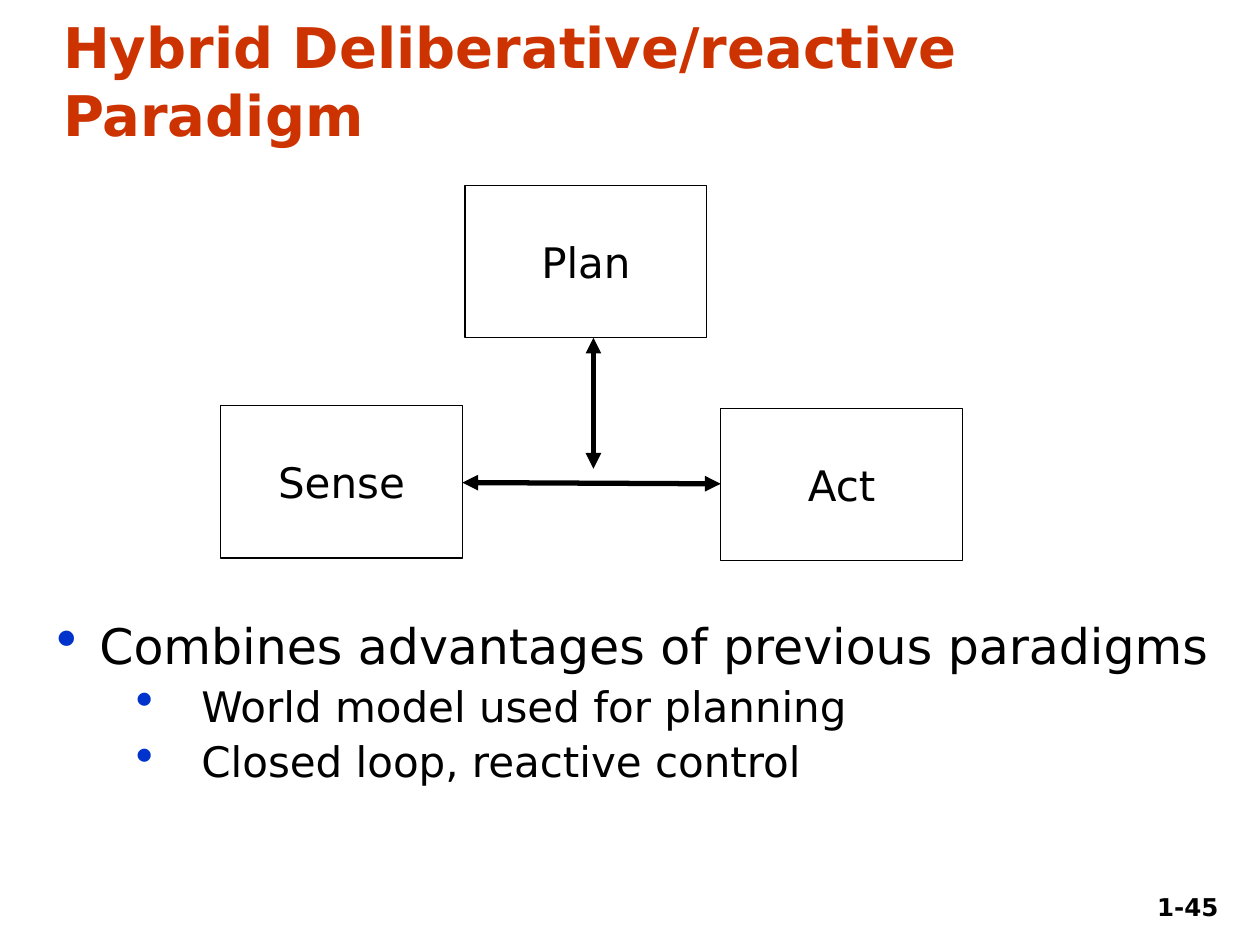
import pptx
import pptx.util
import pptx.dml.color
import pptx.enum.shapes
import pptx.enum.text
import pptx.oxml.ns
from lxml import etree

Inches, Pt = pptx.util.Inches, pptx.util.Pt
Align, Anchor = pptx.enum.text.PP_ALIGN, pptx.enum.text.MSO_ANCHOR
qn = pptx.oxml.ns.qn

# Content
TITLE = "Hybrid Deliberative/reactive Paradigm"
PAGE = "1-45"
BOX_SIZE = (1.92, 1.21)
BOXES = [("Sense", 1.75, 3.22), ("Act", 5.72, 3.24), ("Plan", 3.69, 1.47)]
ARROWS = [((3.67, 3.83), (5.72, 3.84)), ((4.71, 3.72), (4.71, 2.68))]
POINTS = [
    (0, "Combines advantages of previous paradigms"),
    (1, "World model used for planning"),
    (1, "Closed loop, reactive control"),
]
# Per level: left margin, hanging indent, space before, type size key
LEVELS = [(0.34, 0.34, 7, "point"), (1.15, 0.52, 6, "label")]

THEME = {
    "font": "DejaVu Sans",
    "title": 32, "point": 28, "label": 24, "page": 14,
    "accent": "CC3300", "text": "000000", "fill": "FFFFFF", "bullet": "0033CC",
}


def colour(key):
    return pptx.dml.color.RGBColor.from_string(THEME[key])


def style(paragraph, size, ink="text", bold=False, align=Align.LEFT):
    paragraph.alignment = align
    font = paragraph.font
    font.name, font.size, font.bold = THEME["font"], Pt(THEME[size]), bold
    font.color.rgb = colour(ink)


def add_bullet(paragraph, margin, hanging):
    props = paragraph._p.get_or_add_pPr()
    props.set("marL", str(Inches(margin)))
    props.set("indent", str(-Inches(hanging)))
    bullet_colour = etree.SubElement(props, qn("a:buClr"))
    etree.SubElement(bullet_colour, qn("a:srgbClr"), val=THEME["bullet"])
    etree.SubElement(props, qn("a:buSzPct"), val="120000")
    etree.SubElement(props, qn("a:buChar"), char="•")


def add_box(slide, label, left, top):
    box = slide.shapes.add_shape(
        pptx.enum.shapes.MSO_SHAPE.RECTANGLE,
        Inches(left), Inches(top), *map(Inches, BOX_SIZE))
    box.shadow.inherit = False
    box.fill.solid()
    box.fill.fore_color.rgb = colour("fill")
    box.line.color.rgb = colour("text")
    box.line.width = Pt(0.75)
    frame = box.text_frame
    frame.text = label
    frame.word_wrap = False
    frame.vertical_anchor = Anchor.MIDDLE
    style(frame.paragraphs[0], "label", align=Align.CENTER)


def add_arrow(slide, start, end):
    arrow = slide.shapes.add_connector(
        pptx.enum.shapes.MSO_CONNECTOR.STRAIGHT, *map(Inches, start + end))
    arrow.line.color.rgb = colour("text")
    arrow.line.width = Pt(3)
    line = arrow.line._get_or_add_ln()
    for tip in ("a:headEnd", "a:tailEnd"):
        etree.SubElement(line, qn(tip), type="triangle")
    etree.SubElement(arrow._element.spPr, qn("a:effectLst"))


def add_text_frame(slide, *place):
    frame = slide.shapes.add_textbox(*map(Inches, place)).text_frame
    frame.word_wrap = True
    return frame


def main():
    deck = pptx.Presentation()
    deck.slide_width, deck.slide_height = Inches(10), Inches(7.5)
    slide = deck.slides.add_slide(deck.slide_layouts[5])

    # Title
    title = slide.shapes.title
    title.left, title.top = Inches(0.4), Inches(0.05)
    title.width, title.height = Inches(9.48), Inches(1.17)
    title.text_frame.text = TITLE
    title.text_frame.vertical_anchor = Anchor.BOTTOM
    title.text_frame.auto_size = pptx.enum.text.MSO_AUTO_SIZE.NONE
    style(title.text_frame.paragraphs[0], "title", "accent", bold=True)

    # Diagram
    for box in BOXES:
        add_box(slide, *box)
    for start, end in ARROWS:
        add_arrow(slide, start, end)

    # Bullet points
    points = add_text_frame(slide, 0.35, 4.89, 9.52, 1.9)
    for index, (level, text) in enumerate(POINTS):
        margin, hanging, before, size = LEVELS[level]
        point = points.add_paragraph() if index else points.paragraphs[0]
        point.text, point.level = text, level
        point.line_spacing = 0.9
        if index:
            point.space_before = Pt(before)
        add_bullet(point, margin, hanging)
        style(point, size)

    # Page number
    page = add_text_frame(slide, 8.67, 6.86, 1.1, 0.5)
    page.text = PAGE
    page.vertical_anchor = Anchor.BOTTOM
    style(page.paragraphs[0], "page", bold=True, align=Align.RIGHT)

    deck.save("out.pptx")


if __name__ == "__main__":
    main()
